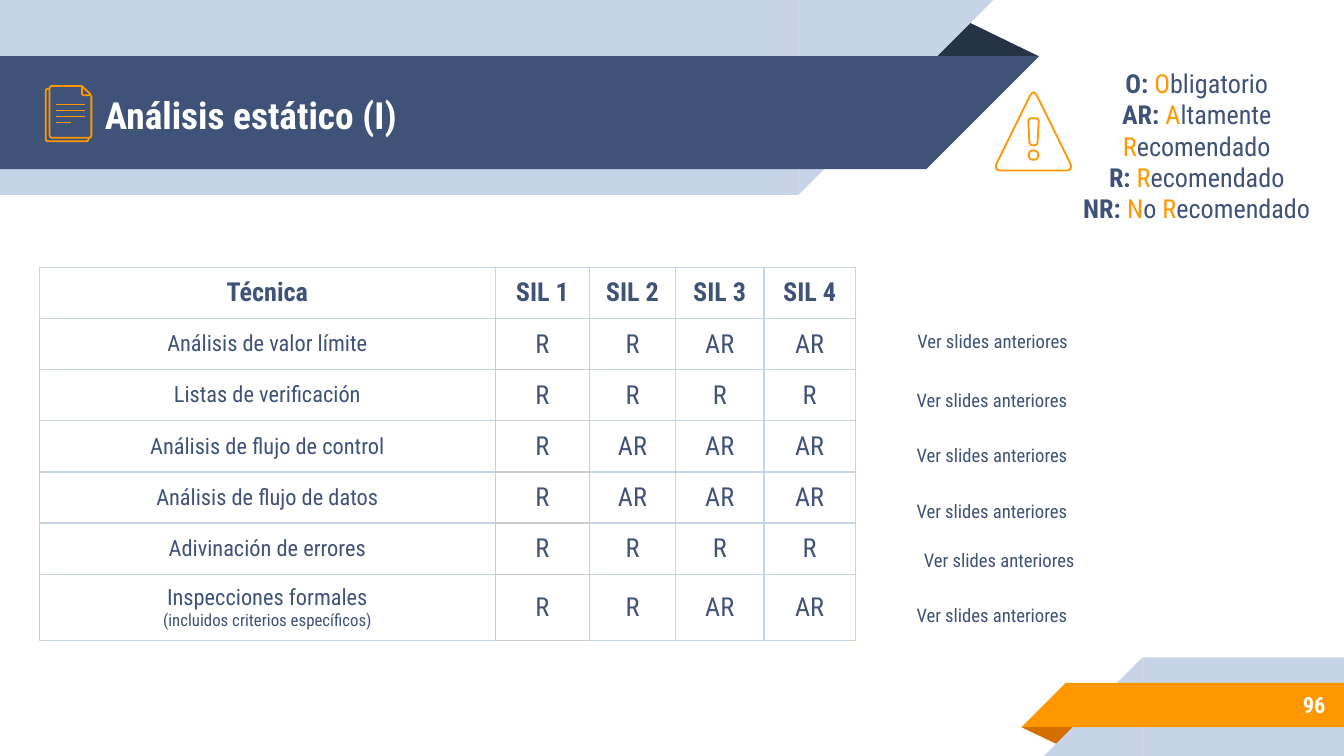
from typing import NamedTuple, Optional

from lxml.etree import SubElement
from pptx import Presentation
from pptx.dml.color import RGBColor
from pptx.enum.shapes import MSO_CONNECTOR, MSO_SHAPE as SHAPE
from pptx.enum.text import MSO_ANCHOR as ANCHOR, MSO_AUTO_SIZE as AUTO, PP_ALIGN as ALIGN
from pptx.oxml.ns import qn
from pptx.util import Pt

FONT = "Roboto Condensed"
NAVY, DARK, PALE, GREY = "3F5378", "263248", "C7D3E6", "CCCCCC"
ORANGE, BROWN, WHITE = "FF9800", "D26F00", "FFFFFF"
STROKE = 0.96


class Run(NamedTuple):
    text: str
    color: Optional[str] = None
    bold: Optional[bool] = None
    size: Optional[float] = None


class Box(NamedTuple):
    left: float
    top: float
    width: float
    height: float

    def emu(self):
        return [Pt(v) for v in self]


class Band(NamedTuple):
    kind: SHAPE
    box: Box
    color: str
    rotation: int = 0
    flip: bool = False
    adjust: Optional[float] = None


def rgb(value):
    return RGBColor.from_string(value)


def write(tf, paragraphs, *, size, color=NAVY, bold=False, align=ALIGN.CENTER):
    """Fill a text frame; each paragraph is a list of runs."""
    tf.word_wrap = True
    for i, runs in enumerate(paragraphs):
        p = tf.paragraphs[0] if i == 0 else tf.add_paragraph()
        p.alignment = align
        p.space_before = p.space_after = Pt(0)
        for run in runs:
            r = p.add_run()
            r.text = run.text
            r.font.name = FONT
            r.font.size = Pt(run.size or size)
            r.font.bold = bold if run.bold is None else run.bold
            r.font.color.rgb = rgb(run.color or color)


def place(sp, box: Box):
    """Position a text shape, centred vertically with even margins."""
    sp.left, sp.top, sp.width, sp.height = box.emu()
    tf = sp.text_frame
    tf.auto_size = AUTO.NONE
    tf.vertical_anchor = ANCHOR.MIDDLE
    tf.margin_left = tf.margin_right = tf.margin_top = tf.margin_bottom = Pt(7.2)
    return tf


def draw_band(s, band: Band):
    sp = s.shapes.add_shape(band.kind, *band.box.emu())
    sp.shadow.inherit = False
    sp.fill.solid()
    sp.fill.fore_color.rgb = rgb(band.color)
    sp.line.fill.background()
    sp.rotation = band.rotation
    if band.flip:
        sp.element.spPr.find(qn("a:xfrm")).set("flipH", "1")
    if band.adjust is not None:
        sp.adjustments[0] = band.adjust


def rounded(points, radius, closed):
    """Replace each corner by a short curve that starts radius away from it."""
    def toward(a, b):
        length = ((b[0] - a[0]) ** 2 + (b[1] - a[1]) ** 2) ** 0.5
        return [a[k] + (b[k] - a[k]) * radius / length for k in (0, 1)]

    out = []
    for i, corner in enumerate(points):
        if not closed and i in (0, len(points) - 1):
            out.append(corner)
            continue
        start = toward(corner, points[i - 1])
        end = toward(corner, points[(i + 1) % len(points)])
        for t in (0, 0.2, 0.4, 0.6, 0.8, 1):
            out.append([(1 - t) ** 2 * start[k] + 2 * t * (1 - t) * corner[k]
                        + t * t * end[k] for k in (0, 1)])
    return [(Pt(x), Pt(y)) for x, y in out]


def draw_outline(s, contours, closed=False):
    paths = [rounded(points, radius, closed) for points, radius in contours]
    builder = s.shapes.build_freeform(*paths[0][0], scale=1.0)
    for i, path in enumerate(paths):
        if i:
            builder.move_to(*path[0])
        builder.add_line_segments(path[1:], close=closed)
    sp = builder.convert_to_shape()
    sp.shadow.inherit = False
    sp.fill.background()
    sp.line.color.rgb = rgb(ORANGE)
    sp.line.width = Pt(STROKE)


def draw_line(s, x1, x2, y):
    line = s.shapes.add_connector(MSO_CONNECTOR.STRAIGHT, Pt(x1), Pt(y), Pt(x2), Pt(y))
    line.line.color.rgb = rgb(ORANGE)
    line.line.width = Pt(STROKE)
    SubElement(line.element.spPr, qn("a:effectLst"))


def set_borders(cell, colors):
    tcPr = cell._tc.get_or_add_tcPr()
    for i, (side, color) in enumerate(colors.items()):
        ln = tcPr.makeelement(qn(f"a:ln{side}"), {"w": str(Pt(0.75))})
        SubElement(SubElement(ln, qn("a:solidFill")), qn("a:srgbClr"), val=color)
        tcPr.insert(i, ln)


def draw_table(s, rows, left, top, widths, heights):
    frame = s.shapes.add_table(len(rows), len(widths), Pt(left), Pt(top),
                               Pt(sum(widths)), Pt(sum(heights)))
    table = frame.table
    table.first_row = table.horz_banding = False
    for c, width in enumerate(widths):
        table.columns[c].width = Pt(width)
    for r, row in enumerate(rows):
        table.rows[r].height = Pt(heights[r])
        for c, value in enumerate(row):
            cell = table.cell(r, c)
            cell.vertical_anchor = ANCHOR.MIDDLE
            cell.margin_left = cell.margin_right = Pt(7.2)
            cell.margin_top = cell.margin_bottom = Pt(5)
            if r and c:
                cell.fill.solid()
                cell.fill.fore_color.rgb = rgb(WHITE)
            else:
                cell.fill.background()
            # Body cells beside the first SIL column have grey edges
            set_borders(cell, {
                "L": GREY if r and c <= 2 else PALE,
                "R": GREY if r and c <= 1 else PALE,
                "T": GREY if r > 1 and c == 1 else PALE,
                "B": GREY if r and c == 1 else PALE})
            lines = value if isinstance(value, list) else [Run(value)]
            write(cell.text_frame, [[line] for line in lines],
                  size=12 if r and c == 0 else 14, bold=r == 0)


BANDS = [
    # Header
    Band(SHAPE.ISOSCELES_TRIANGLE, Box(495.4, 10.1, 61.2, 20.1), DARK, adjust=0.324),
    Band(SHAPE.RECTANGLE, Box(0, 0, 427.7, 104.4), PALE, 180, True),
    Band(SHAPE.RIGHT_TRIANGLE, Box(427.7, 0, 104.4, 104.4), PALE, 180, True),
    Band(SHAPE.RECTANGLE, Box(0, 30.1, 496.2, 60.5), NAVY, 180, True),
    Band(SHAPE.RIGHT_TRIANGLE, Box(496.2, 30.1, 60.5, 60.5), NAVY, 180, True),
    # Footer
    Band(SHAPE.ISOSCELES_TRIANGLE, Box(547.2, 389.6, 31, 10), BROWN, 180, adjust=0.324),
    Band(SHAPE.RECTANGLE, Box(612, 352.2, 108, 52.8), PALE, flip=True),
    Band(SHAPE.RIGHT_TRIANGLE, Box(559.2, 352.2, 52.8, 52.8), PALE, flip=True),
    Band(SHAPE.RECTANGLE, Box(571, 365.8, 149, 23.8), ORANGE, flip=True),
    Band(SHAPE.RIGHT_TRIANGLE, Box(547.2, 365.8, 23.8, 23.8), ORANGE, flip=True),
]
LEGEND = [("O", "Obligatorio"), ("AR", "Altamente Recomendado"),
          ("R", "Recomendado"), ("NR", "No Recomendado")]
ROWS = [
    ["Técnica", *(f"SIL {n}" for n in range(1, 5))],
    ["Análisis de valor límite", "R", "R", "AR", "AR"],
    ["Listas de verificación", "R", "R", "R", "R"],
    ["Análisis de flujo de control", "R", "AR", "AR", "AR"],
    ["Análisis de flujo de datos", "R", "AR", "AR", "AR"],
    ["Adivinación de errores", "R", "R", "R", "R"],
    [[Run("Inspecciones formales"), Run("(incluidos criterios específicos)", size=9)],
     "R", "R", "AR", "AR"],
]
NOTES = [Box(473, 162, 117.4, 41), Box(476.6, 198, 109.4, 32.4),
         Box(474.5, 227.5, 113.8, 32.4), Box(476.6, 257.8, 109.4, 32.4),
         Box(476.6, 283.7, 117.4, 32.4), Box(476.6, 316.8, 109.4, 25.2)]


def legend_runs(key, meaning):
    """Bold key, then each word with its initial in orange."""
    runs = [Run(f"{key}: ", bold=True)]
    words = meaning.split()
    for i, word in enumerate(words):
        gap = " " if i < len(words) - 1 else ""
        runs += [Run(word[0], ORANGE), Run(word[1:] + gap)]
    return runs


def main():
    prs = Presentation()
    prs.slide_width, prs.slide_height = Pt(720), Pt(405)
    s = prs.slides.add_slide(prs.slide_layouts[0])
    title, legend = s.placeholders

    for band in BANDS:
        draw_band(s, band)

    # Title, above the bands, and page number
    s.shapes.element.append(title.element)
    write(place(title, Box(49, 31, 463, 60.5)), [[Run("Análisis estático (I)")]],
          size=20, color=WHITE, bold=True, align=ALIGN.LEFT)
    number = s.shapes.add_textbox(0, 0, 0, 0)
    write(place(number, Box(599.8, 365, 117.4, 25.2)), [[Run("96")]],
          size=12, color=WHITE, bold=True, align=ALIGN.RIGHT)

    # Document icon: rear sheet, front sheet, folded corner, text lines
    draw_outline(s, [([(49 - 1.5, 74), (47.5, 75.7), (24.5, 75.7), (24.5, 47.5), (26.2, 47.5)], 1.5)])
    draw_outline(s, [([(49, 51.1), (49, 73.8), (26.6, 73.8), (26.6, 46.1), (43.9, 46.1)], 1.5)])
    draw_outline(s, [([(43.9, 46.1), (49, 51.1), (43.9, 51.1), (43.9, 46.1)], 1.2)])
    for i, right in enumerate((45.4, 45.4, 45.4, 38.2)):
        draw_line(s, 30.2, right, 56 + 3.2 * i)

    # Warning sign: triangle, mark, dot
    draw_outline(s, [
        ([(553.7, 47.5), (575.3, 91.4), (532.1, 91.4)], 4.6),
        ([(550.8, 63.4), (556.6, 63.4), (555.8, 77.8), (551.6, 77.8)], 1.8),
        ([(551.2, 80.6), (556.2, 80.6), (556.2, 85.6), (551.2, 85.6)], 2.4),
    ], closed=True)

    draw_table(s, ROWS, 21.1, 143.3, [244.3, 50.4, 46.1, 47.4, 49], [27.4] * 6 + [35.4])

    # Legend and notes beside the rows
    s.shapes.element.append(legend.element)
    write(place(legend, Box(562.3, 32.4, 157.7, 91.4)),
          [legend_runs(*entry) for entry in LEGEND], size=14)
    for box in NOTES:
        note = s.shapes.add_textbox(0, 0, 0, 0)
        write(place(note, box), [[Run("Ver slides anteriores")]], size=10)

    prs.save("out.pptx")


if __name__ == "__main__":
    main()
